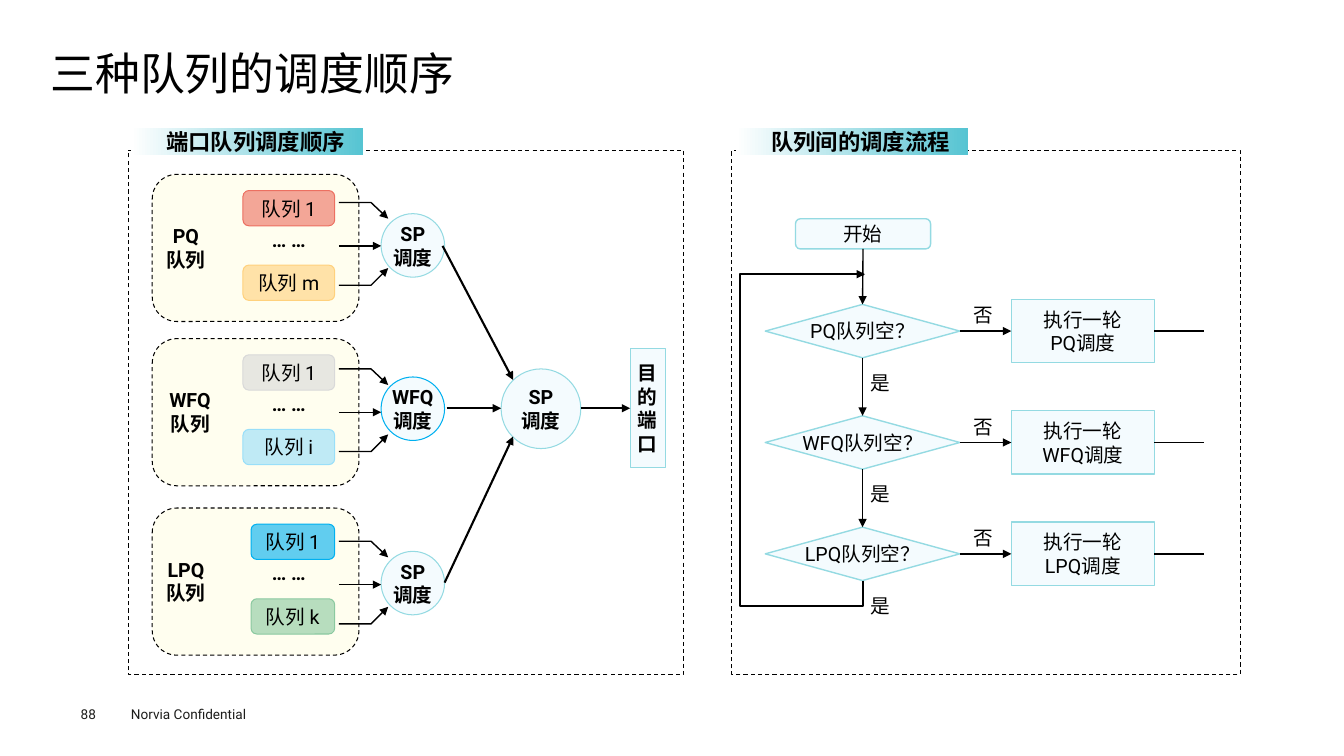
from lxml import etree
from pptx import Presentation
from pptx.dml.color import RGBColor
from pptx.enum.dml import MSO_LINE
from pptx.enum.shapes import MSO_CONNECTOR, MSO_SHAPE as SHAPE
from pptx.enum.text import MSO_ANCHOR as ANCHOR, MSO_AUTO_SIZE, PP_ALIGN as ALIGN
from pptx.oxml.ns import qn
from pptx.util import Inches, Pt

COLORS = {
    "black": "000000", "white": "FFFFFF", "footer": "1D1D1B",
    "lane": "FFFEEF", "pale": "F4FBFE", "aqua": "94DAE2", "teal": "56C4D2",
    "red": "EC7061", "yellow": "FFD17D", "grey": "D9D9D9",
    "sky": "99DFF9", "blue": "00B0F0", "green": "8BC9A0",
}
FONT = "Roboto"
TURN_X, CIRCLE_X = 3.68, 3.78

# name, top, circle top, arrow middle, scheduler, circle line, label width,
# queue left, queue width, queues (text, colour, side inset)
LANES = [
    ("PQ", 1.73, 2.12, 2.44, "SP", "aqua", 0.67, 2.41, 0.91,
     [("队列 1", "red", 0.16), ("队列 m", "yellow", 0.1)]),
    ("WFQ", 3.36, 3.74, 4.09, "WFQ", "blue", 0.75, 2.41, 0.91,
     [("队列 1", "grey", 0.16), ("队列 i", "sky", 0.1)]),
    ("LPQ", 5.04, 5.47, 5.8, "SP", "aqua", 0.67, 2.49, 0.83,
     [("队列 1", "blue", 0.1), ("队列 k", "green", 0.1)]),
]


def rgb(name):
    return RGBColor.from_string(COLORS[name])


def write(shape, lines, size=14, bold=False, color="black", inset=0, wrap=False,
          align=ALIGN.CENTER, anchor=ANCHOR.MIDDLE):
    tf = shape.text_frame
    tf.word_wrap = wrap
    tf.auto_size = MSO_AUTO_SIZE.NONE
    tf.vertical_anchor = anchor
    tf.margin_left = tf.margin_right = Inches(inset)
    tf.margin_top = tf.margin_bottom = 0
    tf.text = "\n".join(lines)
    for p in tf.paragraphs:
        p.alignment = align
        p.font.name, p.font.size, p.font.bold = FONT, Pt(size), bold
        p.font.color.rgb = rgb(color)


def add_text(s, box, *lines, **style):
    tb = s.shapes.add_textbox(*map(Inches, box))
    write(tb, lines, **style)


def add_box(s, kind, box, fill, line, width=0.75, dashed=False, alpha=None):
    sp = s.shapes.add_shape(kind, *map(Inches, box))
    sp.shadow.inherit = False
    sp.fill.solid()
    sp.fill.fore_color.rgb = rgb(fill)
    sp.line.color.rgb = rgb(line)
    sp.line.width = Pt(width)
    if dashed:
        sp.line.dash_style = MSO_LINE.DASH
    if alpha:
        clr = sp.fill._xPr.find(qn("a:solidFill"))[0]
        etree.SubElement(clr, qn("a:alpha")).set("val", str(alpha * 1000))
    return sp


def style_line(shape, width, arrow):
    shape.line.color.rgb = rgb("black")
    shape.line.width = Pt(width)
    if arrow:
        ln = shape.line._get_or_add_ln()
        etree.SubElement(ln, qn("a:tailEnd")).set("type", "triangle")


def add_line(s, start, end, width=1, arrow=True, begin=None, finish=None):
    """Draw a line; begin and finish are optional (shape, site) joints."""
    c = s.shapes.add_connector(MSO_CONNECTOR.STRAIGHT, *map(Inches, start + end))
    style_line(c, width, arrow)
    etree.SubElement(c._element.spPr, qn("a:effectLst"))
    if begin:
        c.begin_connect(*begin)
    if finish:
        c.end_connect(*finish)


def add_path(s, points):
    """Draw an open polyline ending in an arrowhead."""
    (x, y), *rest = [(Inches(px), Inches(py)) for px, py in points]
    builder = s.shapes.build_freeform(x, y)
    builder.add_line_segments(rest, close=False)
    sp = builder.convert_to_shape()
    sp.shadow.inherit = False
    sp.fill.background()
    style_line(sp, 1, True)


def add_panel(s, left, width):
    add_box(s, SHAPE.RECTANGLE, (left, 1.49, width, 5.2), "white", "black", dashed=True)


def add_banner(s, left, text):
    sp = s.shapes.add_shape(SHAPE.FLOWCHART_PROCESS, *map(Inches, (left, 1.27, 2.3, 0.27)))
    sp.shadow.inherit = False
    sp.line.fill.background()
    sp.fill.gradient()
    sp.fill.gradient_angle = 180
    for stop, color in zip(sp.fill.gradient_stops, ("teal", "white")):
        stop.color.rgb = rgb(color)
    write(sp, [text], size=16, bold=True, inset=0.35, align=ALIGN.LEFT)


def add_circle(s, left, top, size, name, line="aqua"):
    sp = add_box(s, SHAPE.FLOWCHART_CONNECTOR, (left, top, size, size), "pale", line)
    write(sp, [name, "调度"], bold=True)


def add_lane(s, name, top, circle_top, mid, scheduler, line, label_w,
             queue_x, queue_w, queues):
    add_box(s, SHAPE.ROUNDED_RECTANGLE, (1.51, top, 2.05, 1.46), "lane", "black", dashed=True)
    add_text(s, (1.51, top + 0.43, label_w, 0.59), name, "队列", bold=True)
    for i, (text, color, inset) in enumerate(queues):
        sp = add_box(s, SHAPE.ROUNDED_RECTANGLE,
                     (queue_x, top + 0.16 + 0.74 * i, queue_w, 0.35),
                     color, color, alpha=62)
        write(sp, [text], inset=inset, wrap=True)
    add_text(s, (2.53, top + 0.35, 0.67, 0.59), "… …", bold=True)
    add_circle(s, CIRCLE_X, circle_top, 0.63, scheduler, line)
    for start, end in ((-0.43, -0.27), (0.39, 0.22)):
        add_path(s, [(3.36, mid + start), (TURN_X, mid + start), (3.85, mid + end)])
    add_line(s, (3.36, mid), (CIRCLE_X, mid))


def add_port_diagram(s):
    add_panel(s, 1.27, 5.51)
    for lane in LANES:
        add_lane(s, *lane)
    add_circle(s, 4.97, 3.66, 0.79, "SP")
    port = add_box(s, SHAPE.RECTANGLE, (6.25, 3.46, 0.35, 1.18), "pale", "aqua")
    write(port, "目的端口", bold=True)
    for start, end in (((4.39, 2.44), (5.09, 3.77)), ((4.43, 4.05), (4.97, 4.05)),
                       ((4.41, 5.78), (5.09, 4.33))):
        add_line(s, start, end, width=1.5)
    add_line(s, (5.76, 4.05), (6.25, 4.05), width=1.5, finish=(port, 1))
    add_banner(s, 1.3, "端口队列调度顺序")


def add_flowchart(s):
    add_panel(s, 7.26, 5.04)
    center = 8.56
    above = add_box(s, SHAPE.ROUNDED_RECTANGLE, (7.89, 2.17, 1.34, 0.3), "pale", "aqua", 1)
    write(above, ["开始"])
    bottom = 2.47
    for i, (name, *_) in enumerate(LANES):
        top = 3.02 + 1.105 * i
        mid = top + 0.265
        check = add_box(s, SHAPE.FLOWCHART_DECISION, (7.59, top, 1.93, 0.53), "pale", "aqua", 1)
        write(check, [f"{name}队列空？"])
        run = add_box(s, SHAPE.RECTANGLE, (10.03, mid - 0.315, 1.42, 0.63), "pale", "aqua", 1)
        write(run, ["执行一轮", f"{name}调度"])
        add_line(s, (center, bottom), (center, top), begin=(above, 2), finish=(check, 0))
        add_line(s, (9.52, mid), (10.03, mid), begin=(check, 3), finish=(run, 1))
        add_line(s, (11.45, mid), (11.94, mid), arrow=False, begin=(run, 3))
        add_text(s, (8.42, top + 0.56, 0.63, 0.43), "是")
        add_text(s, (9.44, top - 0.11, 0.63, 0.43), "否")
        above, bottom = check, top + 0.53
    add_path(s, [(center, bottom), (center, 6.01), (7.34, 6.01), (7.34, 2.72), (8.58, 2.72)])
    add_banner(s, 7.3, "队列间的调度流程")


def main():
    prs = Presentation()
    prs.slide_width, prs.slide_height = Inches(13.33), Inches(7.5)
    s = prs.slides.add_slide(prs.slide_layouts[5])
    title = s.shapes.title
    title.left, title.top, title.width, title.height = map(Inches, (0.5, 0.49, 12.31, 0.53))
    write(title, ["三种队列的调度顺序"], size=32, wrap=True, align=ALIGN.LEFT)
    title.text_frame.paragraphs[0].line_spacing = 0.9
    add_port_diagram(s)
    add_flowchart(s)
    add_text(s, (1.2, 6.95, 1.6, 0.27), "Norvia Confidential", size=9.7,
             color="footer", inset=0.1, align=ALIGN.LEFT)
    add_text(s, (0.8, 7, 0.55, 0.16), "88", size=9.7, color="footer", align=ALIGN.LEFT)
    prs.save("out.pptx")


if __name__ == "__main__":
    main()
